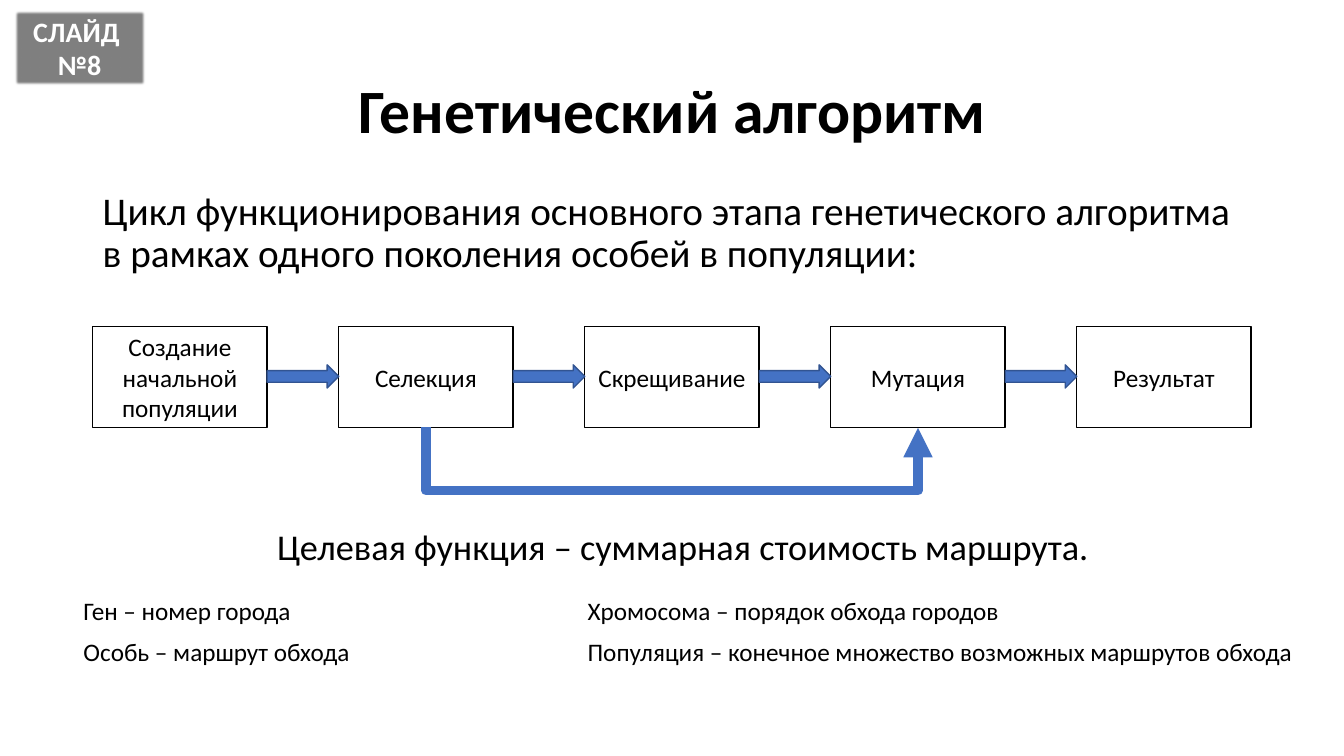
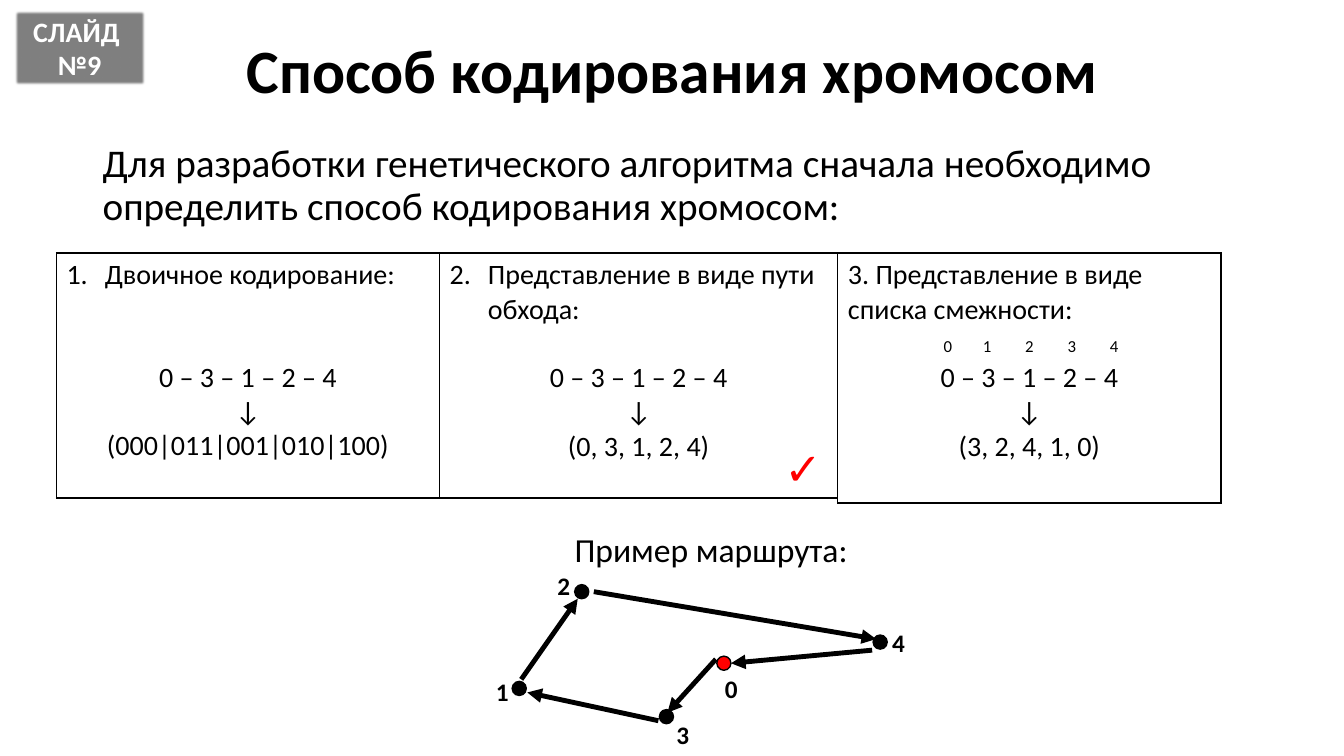
from lxml import etree
from pptx import Presentation
from pptx.dml.color import RGBColor
from pptx.enum.shapes import MSO_CONNECTOR, MSO_SHAPE
from pptx.enum.text import MSO_ANCHOR, PP_ALIGN
from pptx.oxml.ns import qn
from pptx.util import Inches, Pt

BLACK = RGBColor(0x00, 0x00, 0x00)
WHITE = RGBColor(0xFF, 0xFF, 0xFF)
GRAY = RGBColor(0x80, 0x80, 0x80)
BLUE = RGBColor(0x44, 0x72, 0xC4)
DARK_BLUE = RGBColor(0x32, 0x54, 0x91)
RED = RGBColor(0xFF, 0x00, 0x00)

LEFT, CENTER = PP_ALIGN.LEFT, PP_ALIGN.CENTER
TOP, MIDDLE = MSO_ANCHOR.TOP, MSO_ANCHOR.MIDDLE
RECT, OVAL, ARROW = MSO_SHAPE.RECTANGLE, MSO_SHAPE.OVAL, MSO_SHAPE.RIGHT_ARROW
STRAIGHT, ELBOW = MSO_CONNECTOR.STRAIGHT, MSO_CONNECTOR.ELBOW
BOTTOM_SITE = 2
FONT = "Calibri"


def add_xml(parent, tag, **attrs):
    return etree.SubElement(parent, qn(tag), {k: str(v) for k, v in attrs.items()})


class Deck:
    def __init__(self):
        self.prs = Presentation()
        self.prs.slide_width = Inches(13.33)
        self.prs.slide_height = Inches(7.5)
        self.s = None

    def new_slide(self, number, title, title_top, intro, intro_top):
        self.s = self.prs.slides.add_slide(self.prs.slide_layouts[6])
        self.text(0.92, title_top, 11.5, 1.45, [title], 44, bold=True,
                  align=CENTER, anchor=MIDDLE, spacing=0.9)
        self.text(0.92, intro_top, 11.5, 0.95, [intro], 28, spacing=0.9)
        badge = self.shape(RECT, 0.13, 0.09, 1.32, 0.77, GRAY)
        self.add_lines(badge.text_frame, ["СЛАЙД ", f"№{number}"], 20, WHITE, True, CENTER)
        badge.text_frame.vertical_anchor = TOP
        effects = badge._element.spPr.find(qn("a:effectLst"))
        add_xml(effects, "a:softEdge", rad=Pt(2))

    def add_lines(self, tf, lines, size, color=BLACK, bold=False, align=LEFT):
        for i, line in enumerate(lines):
            p = tf.paragraphs[0] if i == 0 else tf.add_paragraph()
            p.alignment = align
            r = p.add_run()
            r.text = line
            r.font.name = FONT
            r.font.size = Pt(size)
            r.font.bold = bold
            r.font.color.rgb = color

    def text(self, x, y, w, h, lines, size, color=BLACK, bold=False, align=LEFT,
             anchor=TOP, spacing=None, before=0, wrap=True, tabs=()):
        box = self.s.shapes.add_textbox(Inches(x), Inches(y), Inches(w), Inches(h))
        tf = box.text_frame
        tf.word_wrap = wrap
        tf.vertical_anchor = anchor
        self.add_lines(tf, lines, size, color, bold, align)
        for i, p in enumerate(tf.paragraphs):
            if spacing:
                p.line_spacing = spacing
            if before and i:
                p.space_before = Pt(before)
            if tabs:
                stops = add_xml(p._p.get_or_add_pPr(), "a:tabLst")
                for pos in tabs:
                    add_xml(stops, "a:tab", pos=Inches(pos), algn="l")

    def shape(self, kind, x, y, w, h, fill, line=None):
        sp = self.s.shapes.add_shape(kind, Inches(x), Inches(y), Inches(w), Inches(h))
        sp.shadow.inherit = False
        sp.fill.solid()
        sp.fill.fore_color.rgb = fill
        if line is None:
            sp.line.fill.background()
        else:
            sp.line.color.rgb = line
            sp.line.width = Pt(1)
        return sp

    def box(self, x, y, w, h, label):
        sp = self.shape(RECT, x, y, w, h, WHITE, BLACK)
        sp.text_frame.vertical_anchor = MIDDLE
        self.add_lines(sp.text_frame, [label], 18, align=CENTER)
        return sp

    def arrow(self, x1, y1, x2, y2, color, width, kind=STRAIGHT):
        c = self.s.shapes.add_connector(kind, Inches(x1), Inches(y1), Inches(x2), Inches(y2))
        c.line.color.rgb = color
        c.line.width = Pt(width)
        add_xml(c.line._get_or_add_ln(), "a:tailEnd", type="triangle")
        add_xml(c._element.spPr, "a:effectLst")
        return c

    def loop_back(self, start, end, depth):
        c = self.arrow(0, 0, 1, 1, BLUE, 7, ELBOW)
        c.begin_connect(start, BOTTOM_SITE)
        c.end_connect(end, BOTTOM_SITE)
        thickness, span = Inches(0.01), start.left - end.left
        c.width, c.height = thickness, span
        c.left = (start.left + end.left + start.width - thickness) // 2
        c.top = start.top + start.height - span // 2
        spPr = c._element.spPr
        spPr.xfrm.flipH = False
        spPr.xfrm.set("rot", "5400000")
        geom = spPr.find(qn("a:prstGeom"))
        guides = geom.find(qn("a:avLst"))
        if guides is None:
            guides = add_xml(geom, "a:avLst")
        ratio = round(Inches(depth) / thickness * 100000)
        add_xml(guides, "a:gd", name="adj1", fmla=f"val {ratio}")

    def method_table(self, x, w, h, heading, number, gap, code):
        frame = self.s.shapes.add_table(1, 1, Inches(x), Inches(2.51), Inches(w), Inches(h))
        cell = frame.table.cell(0, 0)
        cell.fill.background()
        tcPr = cell._tc.get_or_add_tcPr()
        for i, side in enumerate(("a:lnL", "a:lnR", "a:lnT", "a:lnB")):
            ln = add_xml(tcPr, side, w=Pt(1))
            add_xml(add_xml(ln, "a:solidFill"), "a:srgbClr", val=BLACK)
            tcPr.insert(i, ln)
        tf = cell.text_frame
        self.add_lines(tf, [heading, "0 – 3 – 1 – 2 – 4", "↓", code], 20, align=CENTER)
        first, route = tf.paragraphs[:2]
        first.alignment = LEFT
        route.space_before = Pt(gap)
        if number:
            pPr = first._p.get_or_add_pPr()
            pPr.set("marL", str(Inches(0.38)))
            pPr.set("indent", str(Inches(-0.38)))
            add_xml(pPr, "a:buAutoNum", type="arabicPeriod", startAt=number)


def algorithm_slide(d):
    d.new_slide(8, "Генетический алгоритм", 0.4,
                "Цикл функционирования основного этапа генетического алгоритма "
                "в рамках одного поколения особей в популяции:", 1.85)
    steps = ["Создание начальной популяции", "Селекция", "Скрещивание",
             "Мутация", "Результат"]
    left, pitch, width = 0.92, 2.44, 1.73
    boxes = [d.box(left + i * pitch, 3.24, width, 1, step) for i, step in enumerate(steps)]
    for i in range(len(steps) - 1):
        d.shape(ARROW, left + i * pitch + width, 3.62, pitch - width, 0.23, BLUE, DARK_BLUE)
    d.loop_back(boxes[3], boxes[1], 0.64)
    d.text(2.65, 5.2, 8.48, 0.64, ["Целевая функция – суммарная стоимость маршрута."],
           25.9, spacing=0.9)
    d.text(0.73, 5.89, 12.37, 1.4,
           ["Ген – номер города\tХромосома – порядок обхода городов",
            "Особь – маршрут обхода\tПопуляция – конечное множество возможных маршрутов обхода"],
           18, spacing=0.9, before=10, tabs=[5])


def encoding_slide(d):
    d.new_slide(9, "Способ кодирования хромосом", 0,
                "Для разработки генетического алгоритма сначала необходимо "
                "определить способ кодирования хромосом:", 1.38)
    line = 24.4
    d.method_table(0.56, 3.8, 2.43, "Двоичное кодирование:", 1, 2 * line,
                   "(000|011|001|010|100)")
    d.method_table(4.36, 3.95, 2.43, "Представление в виде пути обхода:", 2, line,
                   "(0, 3, 1, 2, 4)")
    d.method_table(8.31, 3.8, 2.48, "3. Представление в виде списка смежности:", None, line,
                   "(3, 2, 4, 1, 0)")
    d.text(9.26, 3.28, 2.25, 0.3, ["0\t1\t2\t3\t4"], 12,
           tabs=[0.39 + 0.42 * i for i in range(4)])
    d.text(7.68, 4.32, 0.65, 0.64, ["✓"], 32, RED, wrap=False)
    d.text(5.6, 5.2, 2.94, 0.5, ["Пример маршрута:"], 24, wrap=False)

    cities = [("0", 7.11, 6.51, 7.09, 6.63), ("1", 5.08, 6.76, 4.82, 6.66),
              ("2", 5.7, 5.8, 5.43, 5.61), ("3", 6.54, 7.04, 6.61, 7.09),
              ("4", 8.66, 6.3, 8.75, 6.17)]
    for name, x, y, label_x, label_y in cities:
        d.shape(OVAL, x, y, 0.14, 0.14, RED if name == "0" else BLACK, BLACK)
        d.text(label_x, label_y, 0.33, 0.4, [name], 18, bold=True, wrap=False)
    route = [(7.1, 6.54, 6.62, 7.07), (6.53, 7.15, 5.23, 6.87), (5.17, 6.74, 5.73, 5.94),
             (5.89, 5.87, 8.69, 6.34), (8.65, 6.45, 7.25, 6.58)]
    for ends in route:
        d.arrow(*ends, BLACK, 3.5)


def main():
    d = Deck()
    algorithm_slide(d)
    encoding_slide(d)
    d.prs.save("out.pptx")


if __name__ == "__main__":
    main()
